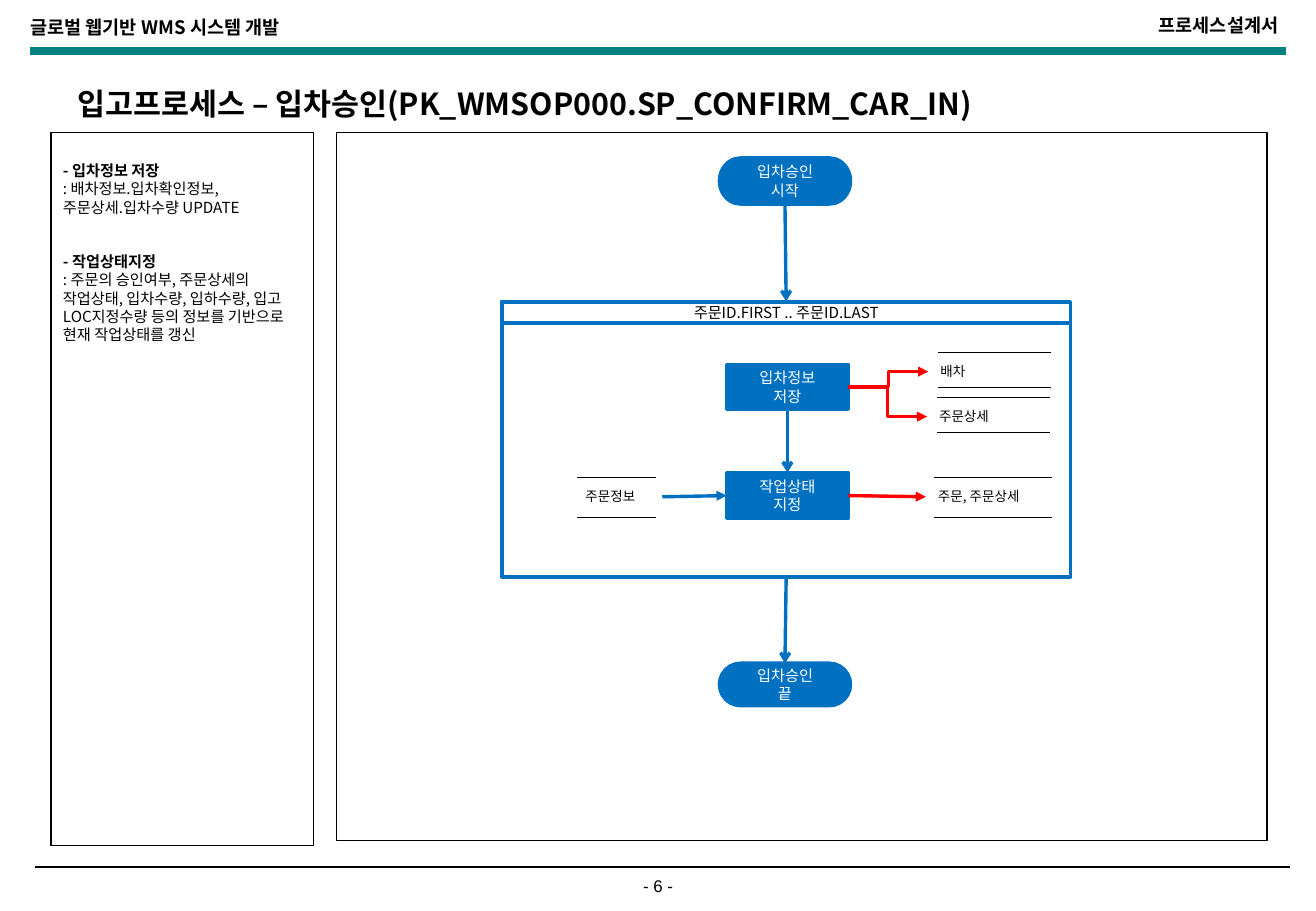
from pptx import Presentation
from pptx.dml.color import RGBColor
from pptx.enum.shapes import MSO_CONNECTOR, MSO_SHAPE
from pptx.enum.text import MSO_ANCHOR, PP_ALIGN
from pptx.oxml.ns import qn
from pptx.util import Inches, Pt
from lxml.etree import SubElement

BLACK = RGBColor(0, 0, 0)
WHITE = RGBColor(255, 255, 255)
BLUE = RGBColor(0, 112, 192)
RED = RGBColor(255, 0, 0)
TEAL = RGBColor(0, 128, 128)
FONT = "Noto Sans CJK KR"
TOP, LEFT, BOTTOM, RIGHT = range(4)


def write(frame, lines, size=9, color=BLACK, bold=False, face=FONT,
          align=PP_ALIGN.LEFT, anchor=MSO_ANCHOR.TOP, space=None, heads=(), gap=0):
    frame.word_wrap = True
    frame.vertical_anchor = anchor
    for i, line in enumerate(lines):
        para = frame.paragraphs[0] if i == 0 else frame.add_paragraph()
        para.alignment = align
        if space:
            para.line_spacing = space
        if i and i in heads:
            para.space_before = Pt(gap)
        run = para.add_run()
        run.text = line
        font = run.font
        font.size = Pt(size)
        font.bold = bold or i in heads
        font.name = face
        font.color.rgb = color
        SubElement(font._element, qn("a:ea")).set("typeface", face)


def text(page, lines, x, y, width, height, **style):
    box = page.add_textbox(Inches(x), Inches(y), Inches(width), Inches(height))
    write(box.text_frame, lines, **style)
    return box


def block(page, kind, x, y, width, height, lines=(), fill=None, edge=BLUE,
          weight=2, color=WHITE):
    shape = page.add_shape(kind, Inches(x), Inches(y), Inches(width), Inches(height))
    shape.shadow.inherit = False
    if fill is None:
        shape.fill.background()
    else:
        shape.fill.solid()
        shape.fill.fore_color.rgb = fill
    shape.line.color.rgb = edge
    shape.line.width = Pt(weight)
    write(shape.text_frame, lines, color=color, align=PP_ALIGN.CENTER,
          anchor=MSO_ANCHOR.MIDDLE)
    return shape


def paint(line, color, weight):
    line.line.color.rgb = color
    line.line.width = Pt(weight)
    SubElement(line._element.spPr, qn("a:effectLst"))


def rule(page, x, y, length, color=BLACK, weight=0.75):
    line = page.add_connector(MSO_CONNECTOR.STRAIGHT, Inches(x), Inches(y),
                              Inches(x + length), Inches(y))
    paint(line, color, weight)


def arrow(page, start, out, end, into, color=BLUE, head="arrow",
          kind=MSO_CONNECTOR.STRAIGHT):
    line = page.add_connector(kind, 0, 0, 0, 0)
    line.begin_connect(start, out)
    line.end_connect(end, into)
    paint(line, color, 2)
    SubElement(line.line._get_or_add_ln(), qn("a:tailEnd")).set("type", head)


def store(page, word, x, y, width, edge, length, gap):
    for level in (y, y + gap):
        rule(page, edge, level, length)
    return text(page, [word], x, y + 0.04, width, 0.24, size=8)


def frame(page):
    text(page, ["글로벌 웹기반 WMS 시스템 개발"], 0.15, 0.08, 5.26, 0.37,
         size=11, bold=True, align=PP_ALIGN.JUSTIFY)
    text(page, ["프로세스설계서"], 7.09, 0.07, 3.53, 0.37,
         size=11, bold=True, align=PP_ALIGN.RIGHT)
    rule(page, 0.25, 0.42, 10.33, TEAL, 4.5)
    rule(page, 0.29, 7.14, 10.33, weight=1)
    text(page, ["- 6 -"], 4.95, 7.16, 0.93, 0.27, size=10, face="Arial",
         align=PP_ALIGN.CENTER)
    text(page, ["입고프로세스 – 입차승인(PK_WMSOP000.SP_CONFIRM_CAR_IN)"],
         0.54, 0.4, 9.75, 0.54, size=18, bold=True, space=2.2,
         anchor=MSO_ANCHOR.MIDDLE)
    block(page, MSO_SHAPE.RECTANGLE, 2.77, 1.09, 7.66, 5.83, edge=BLACK, weight=1)
    block(page, MSO_SHAPE.RECTANGLE, 0.42, 1.09, 2.16, 5.87, fill=WHITE,
          edge=BLACK, weight=0.75)
    text(page, ["- 입차정보 저장",
                ": 배차정보.입차확인정보,",
                "주문상세.입차수량 UPDATE",
                "- 작업상태지정",
                ": 주문의 승인여부, 주문상세의 작업상태, 입차수량, 입하수량, "
                "입고LOC지정수량 등의 정보를 기반으로 현재 작업상태를 갱신"],
         0.42, 1.28, 2.07, 3.1, heads=(0, 3), gap=21.5)


def flow(page):
    cap, step = MSO_SHAPE.FLOWCHART_TERMINATOR, MSO_SHAPE.FLOWCHART_PROCESS
    start = block(page, cap, 5.92, 1.3, 1.08, 0.38, ["입차승인", "시작"], BLUE)
    end = block(page, cap, 5.92, 5.46, 1.08, 0.35, ["입차승인", "끝"], BLUE)
    loop = block(page, step, 4.13, 2.49, 4.68, 2.26)
    header = block(page, step, 4.13, 2.48, 4.68, 0.18,
                   ["주문ID.FIRST .. 주문ID.LAST"], color=BLACK)
    save = block(page, step, 5.98, 3, 1, 0.37, ["입차정보", "저장"], BLUE)
    state = block(page, step, 5.98, 3.89, 1, 0.38, ["작업상태", "지정"], BLUE)

    truck = store(page, "배차", 7.64, 2.9, 1.15, 7.72, 0.93, 0.29)
    detail = store(page, "주문상세", 7.63, 3.27, 1.15, 7.71, 0.93, 0.29)
    info = store(page, "주문정보", 4.72, 3.93, 0.73, 4.75, 0.65, 0.33)
    order = store(page, "주문, 주문상세", 7.62, 3.93, 1.05, 7.69, 0.97, 0.33)

    arrow(page, start, BOTTOM, header, TOP)
    arrow(page, loop, BOTTOM, end, TOP)
    arrow(page, save, BOTTOM, state, TOP)
    arrow(page, info, RIGHT, state, LEFT, head="triangle")
    arrow(page, state, RIGHT, order, LEFT, RED, "triangle")
    for target in (truck, detail):
        arrow(page, save, RIGHT, target, LEFT, RED, "triangle", MSO_CONNECTOR.ELBOW)


def main():
    deck = Presentation()
    deck.slide_width = Inches(10.83)
    deck.slide_height = Inches(7.5)
    page = deck.slides.add_slide(deck.slide_layouts[6]).shapes
    frame(page)
    flow(page)
    deck.save("out.pptx")


if __name__ == "__main__":
    main()
